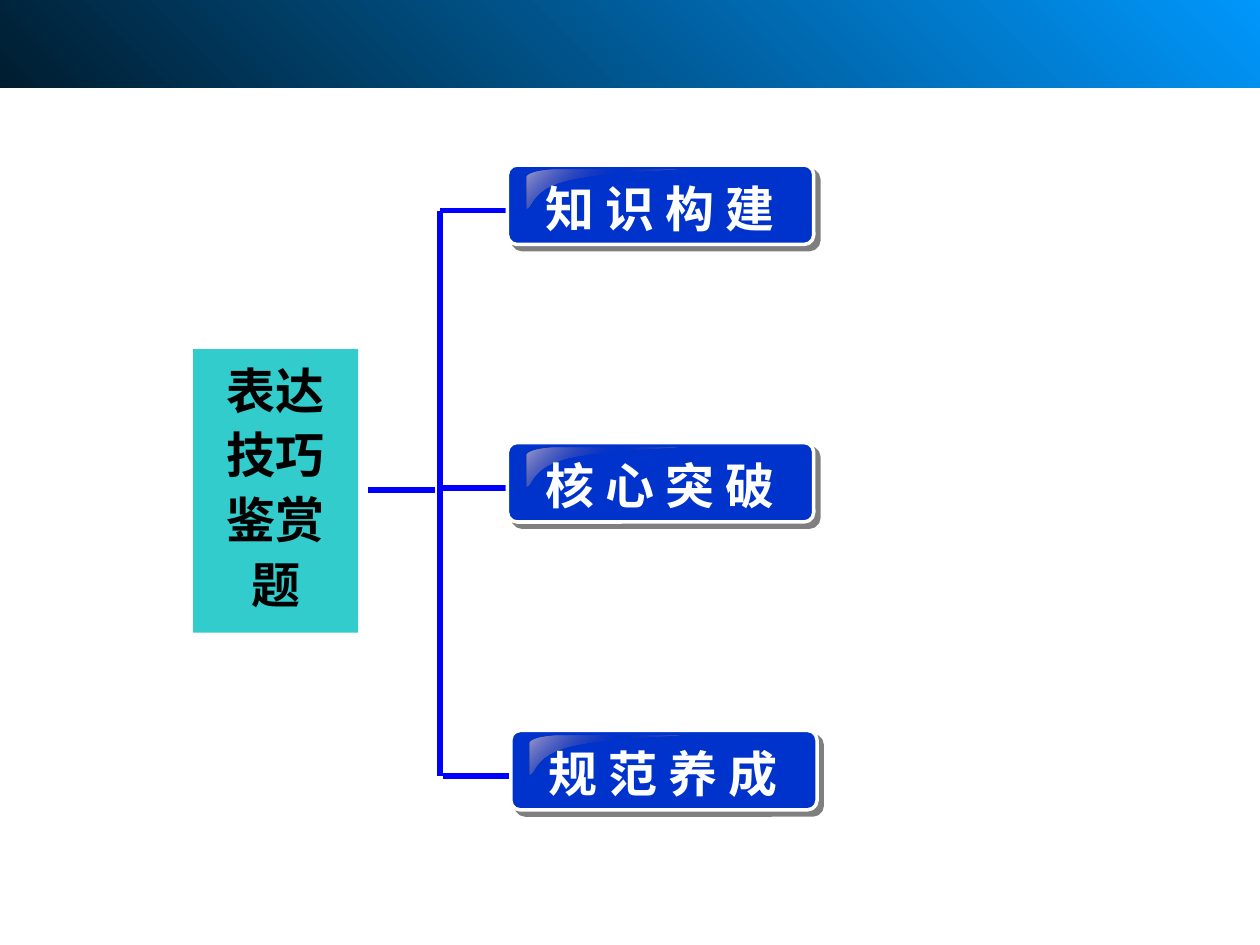
from lxml.etree import SubElement
from pptx import Presentation
from pptx.dml.color import RGBColor
from pptx.enum.shapes import MSO_CONNECTOR, MSO_SHAPE
from pptx.enum.text import MSO_ANCHOR, PP_ALIGN
from pptx.oxml.ns import qn
from pptx.util import Pt

COLORS = {
    "sky": "0099FF",
    "night": "001D30",
    "teal": "33CCCC",
    "line": "0000FF",
    "button": "0033CC",
    "gloss": "9B9BCC",
    "gloss_middle": "333399",
    "white": "FFFFFF",
    "black": "000000",
}

presentation = Presentation()
presentation.slide_width, presentation.slide_height = Pt(720), Pt(540)
slide = presentation.slides.add_slide(presentation.slide_layouts[6])
shapes = slide.shapes


def fill_gradient(shape, angle, stops):
    shape.shadow.inherit = False
    shape.line.fill.background()
    shape.fill.gradient()
    shape.fill.gradient_angle = angle
    stop_list = shape.fill._xPr.find(qn("a:gradFill")).find(qn("a:gsLst"))
    for old_stop in list(stop_list):
        stop_list.remove(old_stop)
    for position, color, opacity in stops:
        stop = SubElement(stop_list, qn("a:gs"), pos=str(position * 1000))
        color_element = SubElement(stop, qn("a:srgbClr"), val=COLORS[color])
        SubElement(color_element, qn("a:alpha"), val=str(opacity * 1000))


def add_line(x1, y1, x2, y2):
    connector = shapes.add_connector(MSO_CONNECTOR.STRAIGHT, Pt(x1), Pt(y1), Pt(x2), Pt(y2))
    connector.line.color.rgb = RGBColor.from_string(COLORS["line"])
    connector.line.width = Pt(3)
    SubElement(connector._element.spPr, qn("a:effectLst"))


banner = shapes.add_shape(MSO_SHAPE.RECTANGLE, Pt(0), Pt(-12.4), Pt(720), Pt(62.6))
fill_gradient(banner, 225, [(0, "sky", 100), (100, "night", 100)])

topic = shapes.add_shape(MSO_SHAPE.RECTANGLE, Pt(110.4), Pt(199.5), Pt(94.2), Pt(162))
topic.shadow.inherit = False
topic.fill.solid()
topic.fill.fore_color.rgb = RGBColor.from_string(COLORS["teal"])
topic.line.fill.background()
frame = topic.text_frame
frame.word_wrap = True
frame.vertical_anchor = MSO_ANCHOR.TOP
frame.margin_top, frame.margin_bottom = Pt(2.9), Pt(11.5)
paragraph = frame.paragraphs[0]
paragraph.text = "表达技巧鉴赏题"
paragraph.alignment = PP_ALIGN.CENTER
paragraph.line_spacing = 1.1
paragraph.font.name = "Times New Roman"
paragraph.font.size = Pt(28)
paragraph.font.bold = True
paragraph.font.color.rgb = RGBColor.from_string(COLORS["black"])

add_line(210.4, 280, 248.5, 280)
add_line(251.5, 120.4, 251.5, 443.5)

gloss_curves = [
    [(17.3, 0), (7.9, 0), (0, 2.2), (0, 4.4)],
    [(0, 22.1), (4.1, 22.3), (2, 11.5), (23.6, 6.4)],
    [(23.6, 6.4), (45.2, 1.3), (87, 0.9), (86.2, 0)],
]
gloss_points = []
for curve in gloss_curves:
    for step in range(13):
        t = step / 12
        weights = [(1 - t) ** 3, 3 * t * (1 - t) ** 2, 3 * t**2 * (1 - t), t**3]
        gloss_points.append(
            [sum(weight * point[axis] for weight, point in zip(weights, curve)) for axis in (0, 1)]
        )

buttons = [
    ("知 识 构 建", 290, 94.3),
    ("核 心 突 破", 290, 252.9),
    ("规 范 养 成", 291.9, 417.4),
]
for label, left, top in buttons:
    add_line(left - 38.5, top + 26, left - 1, top + 26)

    button = shapes.add_shape(MSO_SHAPE.ROUNDED_RECTANGLE, Pt(left), Pt(top), Pt(175), Pt(45.4))
    button.adjustments[0] = 0.12
    button.fill.solid()
    button.fill.fore_color.rgb = RGBColor.from_string(COLORS["button"])
    button.line.color.rgb = RGBColor.from_string(COLORS["white"])
    button.line.width = Pt(2)
    button.shadow.inherit = False
    effects = button._element.spPr.find(qn("a:effectLst"))
    shadow = SubElement(
        effects, qn("a:outerShdw"), blurRad="0", dist=str(Pt(4.2)), dir="2700000", algn="ctr", rotWithShape="0"
    )
    shadow_color = SubElement(shadow, qn("a:srgbClr"), val=COLORS["black"])
    SubElement(shadow_color, qn("a:alpha"), val="50000")

    outline = [(Pt(left + 10.9 + x), Pt(top + 2.9 + y)) for x, y in gloss_points]
    builder = shapes.build_freeform(*outline[0])
    builder.add_line_segments(outline[1:], close=True)
    gloss = builder.convert_to_shape()
    fill_gradient(gloss, 135, [(0, "gloss", 100), (50, "gloss_middle", 0), (100, "gloss", 100)])

    text_box = shapes.add_textbox(Pt(left + 14.5), Pt(top + 3.8), Pt(296), Pt(41))
    frame = text_box.text_frame
    frame.word_wrap = True
    frame.vertical_anchor = MSO_ANCHOR.MIDDLE
    paragraph = frame.paragraphs[0]
    paragraph.text = label
    paragraph.font.name = "Times New Roman"
    paragraph.font.size = Pt(28)
    paragraph.font.bold = True
    paragraph.font.color.rgb = RGBColor.from_string(COLORS["white"])

presentation.save("out.pptx")
